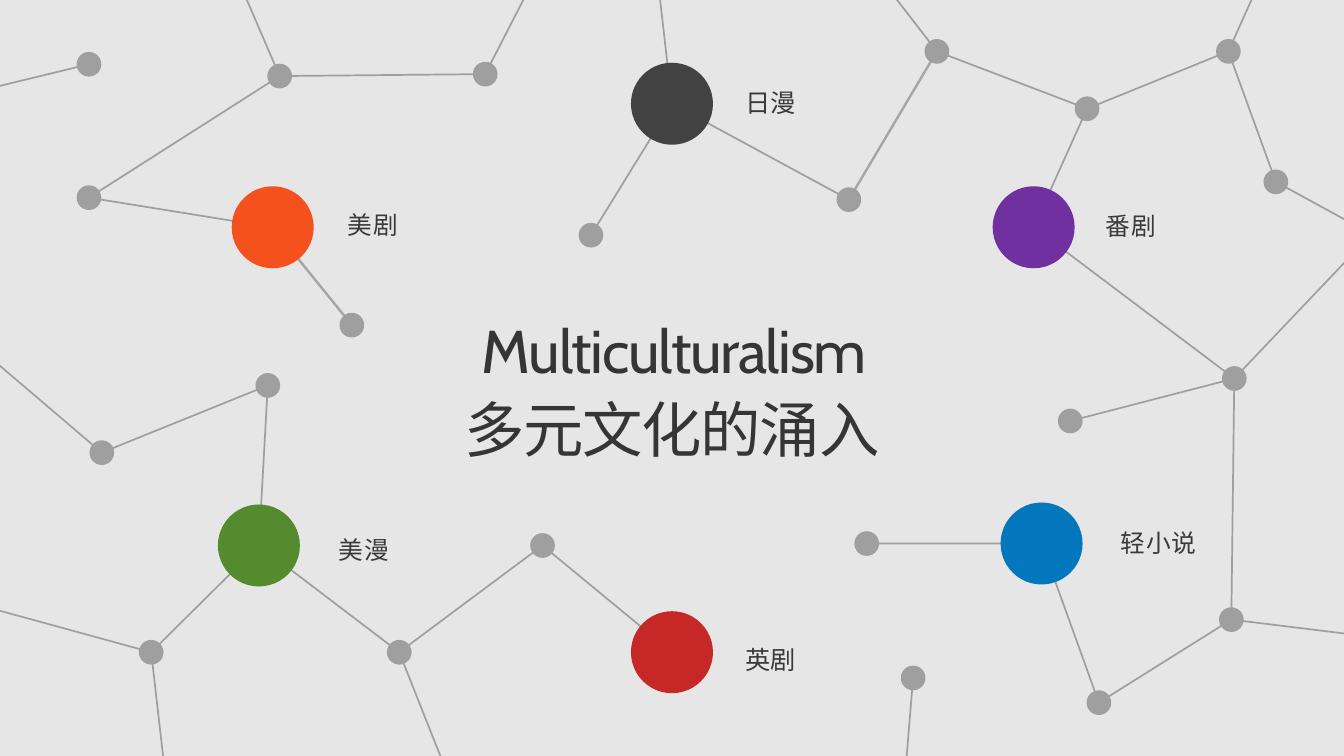
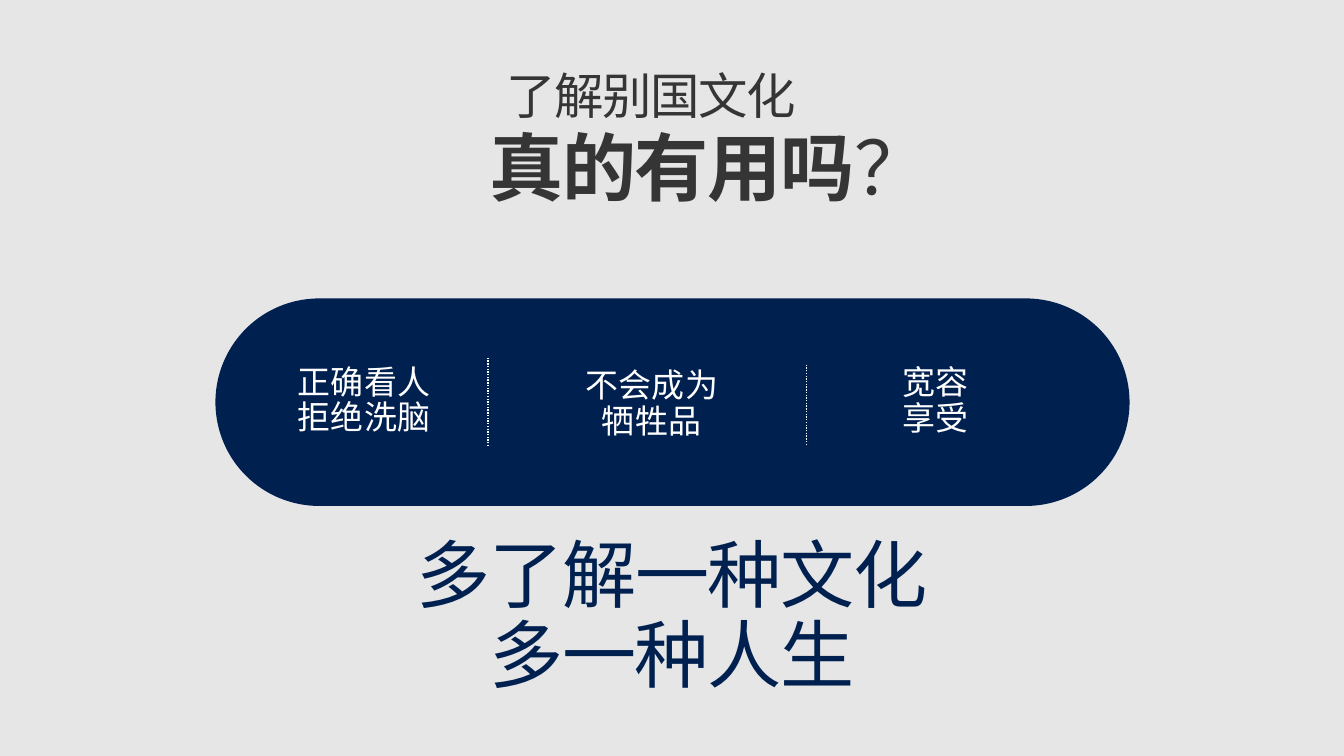
from lxml import etree
from pptx import Presentation
from pptx.dml.color import RGBColor
from pptx.enum.dml import MSO_LINE
from pptx.enum.shapes import MSO_CONNECTOR, MSO_SHAPE
from pptx.enum.text import MSO_ANCHOR, MSO_AUTO_SIZE, PP_ALIGN
from pptx.oxml.ns import qn
from pptx.util import Inches, Pt

OVAL, PILL = MSO_SHAPE.OVAL, MSO_SHAPE.ROUNDED_RECTANGLE
STRAIGHT, DOTTED = MSO_CONNECTOR.STRAIGHT, MSO_LINE.ROUND_DOT
LEFT, CENTER = PP_ALIGN.LEFT, PP_ALIGN.CENTER
TOP, MIDDLE = MSO_ANCHOR.TOP, MSO_ANCHOR.MIDDLE
FIXED = MSO_AUTO_SIZE.NONE


class Theme:
    back = "E6E6E6"
    ink = "353535"
    soft = "3A3A3A"
    navy = "002050"
    white = "FFFFFF"
    dot = "9F9F9F"
    link = "A6A6A6"
    latin = "Cabin"
    asian = "Noto Sans CJK SC"
    head = 44
    ask = 54
    lead = 36
    item = 24
    label = 18
    large = 18.4
    thin = 1.25
    thick = 1.75
    rule = 1
    tight = -1


HUB, DOT = 0.83, 0.25

HUBS = {
    "anime": (6.8, 1.05, "424242"),
    "series": (10.46, 2.3, "7030A0"),
    "british": (6.8, 6.6, "C62828"),
    "novel": (10.54, 5.5, "0277BD"),
    "drama": (2.76, 2.3, "F4511E"),
    "comic": (2.62, 5.52, "558B2F"),
}

LABELS = [
    ("美剧", (3.32, 2.12, 1.59, 0.35), Theme.label, 0.5),
    ("日漫", (7.34, 0.88, 1.67, 0.35), Theme.large, 0),
    ("英剧", (7.34, 6.41, 1.67, 0.56), Theme.large, 0),
    ("番剧", (10.99, 2.13, 1.59, 0.35), Theme.label, 0.5),
    ("美漫", (3.23, 5.29, 1.63, 0.59), Theme.label, 0.5),
    ("轻小说", (11.14, 5.33, 1.59, 0.35), Theme.label, 0.5),
]

DOTS = {
    "A": (4.91, 0.75), "B": (2.83, 0.77), "C": (0.9, 2), "D": (0.9, 0.65),
    "E": (2.71, 3.9), "F": (1.03, 4.58), "G": (1.53, 6.6), "H": (4.04, 6.6),
    "I": (5.49, 5.52), "J": (9.24, 6.86), "K": (11.12, 7.11),
    "L": (12.46, 6.27), "M": (10.83, 4.26), "N": (12.49, 3.83),
    "O": (11, 1.1), "P": (12.43, 0.52), "Q": (9.48, 0.52), "R": (8.59, 2.02),
    "S": (5.98, 2.38), "T": (8.77, 5.5), "U": (12.91, 1.84),
    "V": (3.56, 3.29),
}

LINKS = [
    ("anime", (6.64, -0.35)), ("anime", "S"), ("anime", "R"),
    ("series", "N"), ("series", "O"), ("O", "P"), ("O", "Q"), ("P", "U"),
    ("P", (12.69, -0.06)), ("Q", (8.97, -0.14)), ("U", (13.77, 2.31)),
    ("N", (13.84, 2.41)), ("N", "M"), ("N", "L"), ("L", (13.6, 6.41)),
    ("L", "K"), ("K", "novel"), ("novel", "T"), ("J", (9.16, 7.83)),
    ("drama", "C"), ("C", "B"), ("B", "A"), ("B", (2.49, -0.02)),
    ("A", (5.3, -0.01)), ("D", (-0.17, 0.91)), ("F", (-0.32, 3.43)),
    ("F", "E"), ("E", "comic"), ("comic", "G"), ("comic", "H"),
    ("G", (1.67, 7.82)), ("G", (-0.04, 6.17)), ("H", (4.48, 7.71)),
    ("H", "I"), ("I", "british"),
]

BOLD_LINKS = [("drama", "V"), ("Q", "R")]


def rgb(code):
    return RGBColor.from_string(code)


def write(slide, text, at, size, color=Theme.ink, font=Theme.asian,
          gap=Theme.tight, align=CENTER, anchor=MIDDLE, after=0,
          pad=(0.16, 0.1, 0.16, 0.1), title=False):
    area = [Inches(n) for n in at]
    if title:
        box = slide.shapes.title
        box.left, box.top, box.width, box.height = area
    else:
        box = slide.shapes.add_textbox(*area)
    frame = box.text_frame
    frame.word_wrap = True
    frame.auto_size = FIXED
    frame.vertical_anchor = anchor
    (frame.margin_left, frame.margin_top,
     frame.margin_right, frame.margin_bottom) = [Inches(n) for n in pad]
    for i, line in enumerate(text.split("\n")):
        para = frame.paragraphs[0] if i == 0 else frame.add_paragraph()
        para.alignment = align
        para.line_spacing = 0.9
        para.space_before = Pt(0)
        para.space_after = Pt(after)
        add_run(para, line, size, color, font, gap)
    return box


def add_run(para, text, size, color=Theme.ink, font=Theme.asian,
            gap=Theme.tight, bold=False):
    run = para.add_run()
    run.text = text
    run.font.size = Pt(size)
    run.font.bold = bold
    run.font.name = font
    run.font.color.rgb = rgb(color)
    props = run._r.get_or_add_rPr()
    props.set("spc", str(round(gap * 100)))
    latin = props.find(qn("a:latin"))
    asian = etree.Element(qn("a:ea"), typeface=Theme.asian)
    latin.addnext(asian)
    return run


def draw(slide, kind, at, color):
    shape = slide.shapes.add_shape(kind, *[Inches(n) for n in at])
    shape.shadow.inherit = False
    shape.fill.solid()
    shape.fill.fore_color.rgb = rgb(color)
    shape.line.fill.background()
    return shape


def disc(slide, x, y, size, color):
    draw(slide, OVAL, (x - size / 2, y - size / 2, size, size), color)


def stroke(slide, start, end, color, width, alpha=100, dash=None):
    line = slide.shapes.add_connector(
        STRAIGHT, *[Inches(n) for n in (*start, *end)])
    line.line.color.rgb = rgb(color)
    line.line.width = Pt(width)
    if dash:
        line.line.dash_style = dash
    props = line._element.spPr
    if alpha < 100:
        tone = props.find(".//" + qn("a:srgbClr"))
        etree.SubElement(tone, qn("a:alpha"), val=str(alpha * 1000))
    etree.SubElement(props, qn("a:effectLst"))


def spot(node):
    if isinstance(node, tuple):
        return node
    return (HUBS[node] if node in HUBS else DOTS[node])[:2]


def network(slide):
    write(slide, "Multiculturalism", (3.88, 2.9, 5.89, 1.37), Theme.head,
          font=Theme.latin, pad=(0, 0.05, 0, 0.05), title=True)
    for start, end in LINKS:
        stroke(slide, spot(start), spot(end), Theme.ink, Theme.thin, alpha=40)
    for start, end in BOLD_LINKS:
        stroke(slide, spot(start), spot(end), Theme.link, Theme.thick)
    write(slide, "多元文化的涌入", (3.33, 3.19, 6.94, 2.39), Theme.head,
          pad=(0, 0.05, 0, 0.05))
    for text, at, size, gap in LABELS:
        write(slide, text, at, size, color=Theme.soft, font=Theme.latin,
              gap=gap, align=LEFT, after=6, pad=(0.2, 0.05, 0, 0.05))
    for x, y in DOTS.values():
        disc(slide, x, y, DOT, Theme.dot)
    for x, y, color in HUBS.values():
        disc(slide, x, y, HUB, color)


def benefits(slide):
    ask = write(slide, "", (4.72, 1.36, 4.16, 0.76), Theme.ask, title=True)
    para = ask.text_frame.paragraphs[0]
    para.runs[0]._r.getparent().remove(para.runs[0]._r)
    add_run(para, "真的有用吗", Theme.ask, bold=True)
    add_run(para, "？", Theme.ask)
    write(slide, "了解别国文化", (3.84, 0.65, 5.5, 0.69), Theme.lead)

    pill = draw(slide, PILL, (2.18, 3.02, 9.25, 2.1), Theme.navy)
    pill.adjustments[0] = 0.5
    for text, x, y in (("正确看人\n拒绝洗脑", 2.38, 3.65),
                       ("不会成为\n牺牲品", 5.29, 3.69),
                       ("宽容\n享受", 8.16, 3.66)):
        write(slide, text, (x, y, 2.61, 0.83), Theme.item, color=Theme.white,
              gap=0.3, anchor=TOP, pad=(0.1, 0.05, 0.1, 0.05))
    for x, top, base in ((4.94, 3.62, 4.52), (8.16, 3.69, 4.5)):
        stroke(slide, (x, top), (x, base), Theme.white, Theme.rule,
               dash=DOTTED)

    write(slide, "多了解一种文化\n多一种人生", (3.57, 5.45, 6.46, 1.62),
          Theme.ask, color=Theme.navy)


def main():
    deck = Presentation()
    deck.slide_width, deck.slide_height = Inches(13.6), Inches(7.65)
    fill = deck.slide_master.background.fill
    fill.solid()
    fill.fore_color.rgb = rgb(Theme.back)
    for build in (network, benefits):
        build(deck.slides.add_slide(deck.slide_layouts[5]))
    deck.save("out.pptx")


if __name__ == "__main__":
    main()
